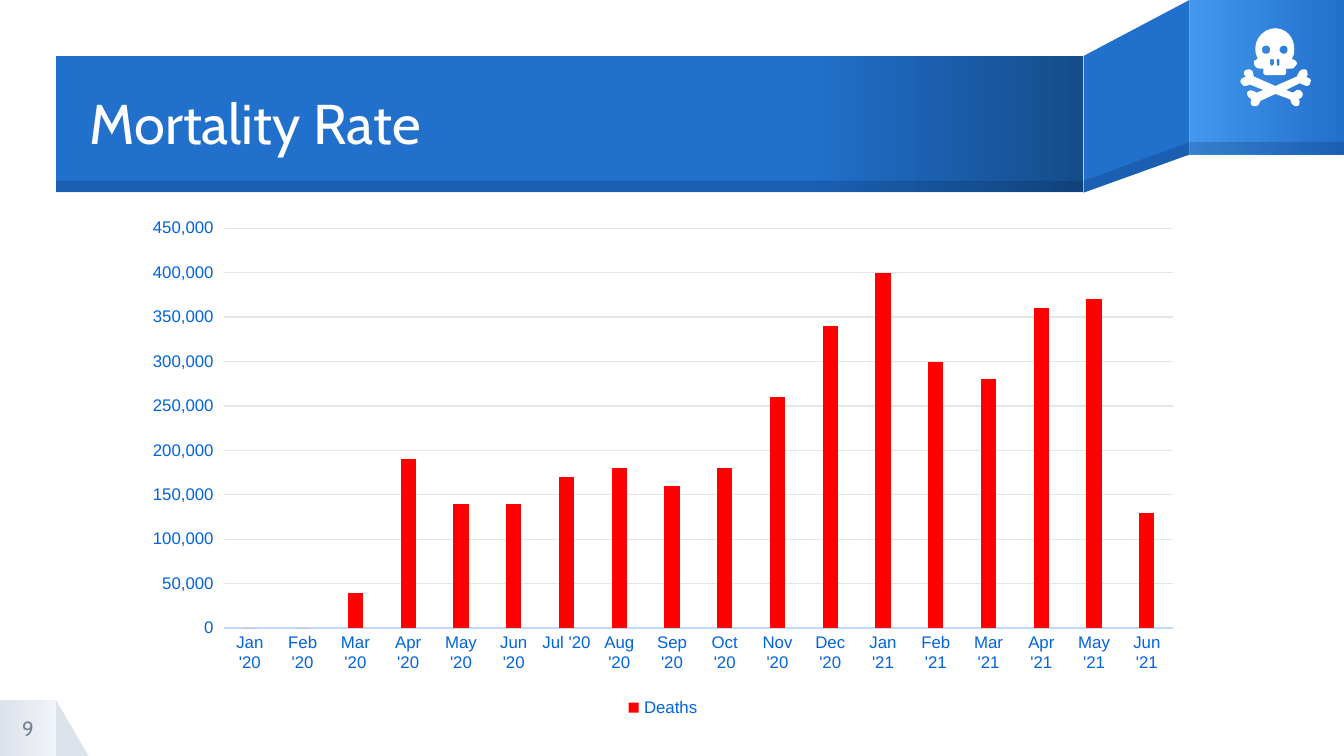
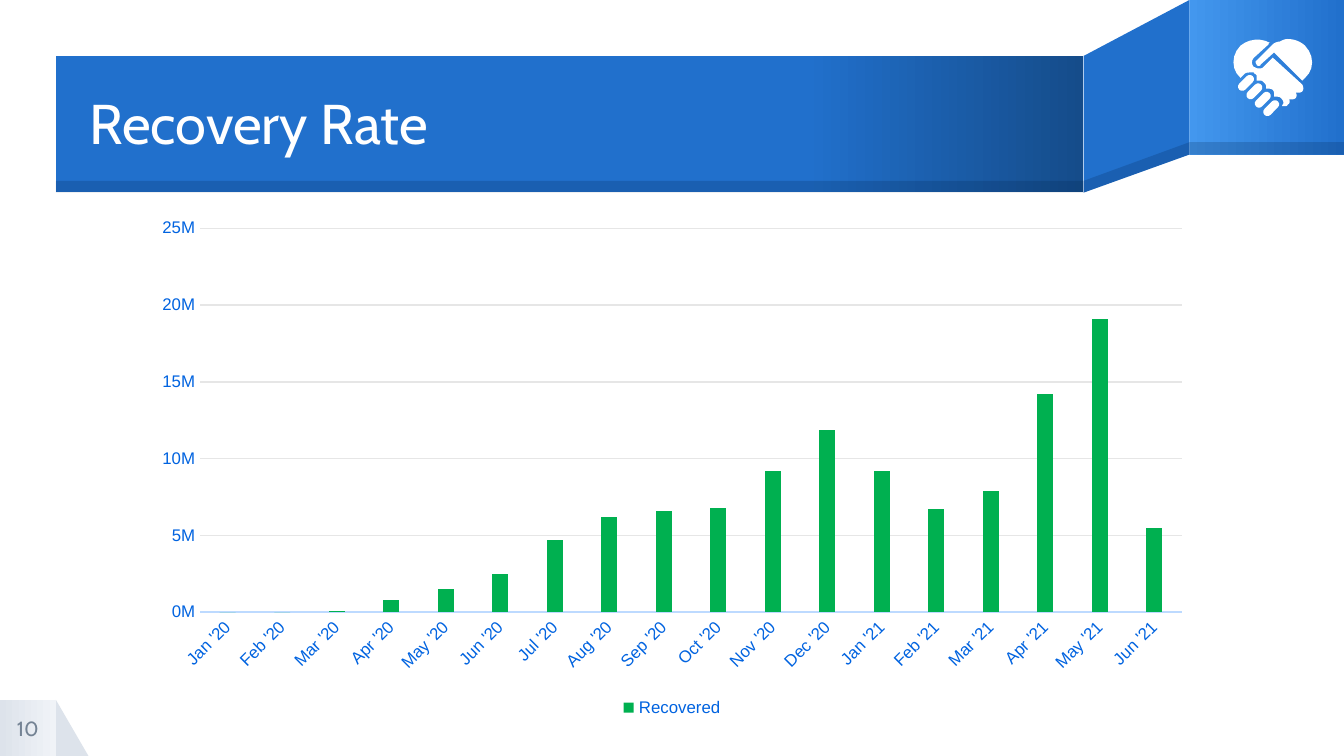
from dataclasses import dataclass

from lxml import etree
from pptx import Presentation
from pptx import util as u
from pptx.chart import data
from pptx.dml.color import RGBColor
from pptx.enum import chart as charts
from pptx.enum import shapes, text
from pptx.oxml.ns import qn

COLUMNS = 24  # square grid: 24 columns, 13.5 rows
ROWS = 13.5
WIDTH = u.Inches(10)
CELL = WIDTH / COLUMNS
ICON_CELL = 0.024  # icon drawing unit, in columns
ICON_LEFT = 900  # icon origin, in icon units
CURVE_STEPS = 6


@dataclass(frozen=True)
class Theme:
    title_font: str = "Cabin"
    chart_font: str = "Arial"
    title_size: int = 30
    number_size: int = 11
    chart_size: int = 10
    label_size: int = 9
    white: str = "FFFFFF"
    band: str = "2170CC"
    band_light: str = "4397EE"
    band_dark: str = "154C8A"
    shade: str = "001F46"
    corner: str = "DDE3EB"
    corner_light: str = "F0F3F7"
    number: str = "748394"
    label: str = "0063E0"
    axis: str = "BDDAFF"
    grid: str = "E6E6E6"
    deaths: str = "FF0000"
    recovered: str = "00B050"


THEME = Theme()

SKULL = """
M 37,51 L 40,51 40,54 C 40,55 41,56 43,56 L 55,56 C 56,56 57,55 57,54
L 57,51 61,51 C 62,51 63,51 63,50 64,49 65,48 65,47 65,46 63,44 61,44
63,41 63,39 63,36 63,28 57,21 49,21 41,21 34,28 34,36 34,39 35,42 36,44
35,44 35,44 34,45 33,45 33,46 33,47 33,49 35,51 37,51
M 48,45 L 48,47 C 48,48 47,49 46,49 46,49 45,48 45,47 L 45,45
C 45,44 46,44 46,44 47,44 48,44 48,45
M 50,45 C 50,44 50,44 51,44 52,44 52,44 52,45 L 52,47
C 52,48 52,49 51,49 50,49 50,48 50,47
M 55,34 C 57,34 58,35 58,37 58,39 57,40 55,40 54,40 52,39 52,37 52,35 54,34 55,34
M 42,34 C 44,34 45,35 45,37 45,39 44,40 42,40 40,40 39,39 39,37 39,35 40,34 42,34
"""
BONES = """
M 73,58 L 72,57 73,56 C 73,55 73,53 72,52 70,51 68,52 67,53 L 65,57 49,64
33,57 32,53 C 31,52 29,51 28,52 26,52 25,54 26,56 L 27,57 25,58
C 24,58 23,60 23,61 24,63 25,64 26,64 27,64 27,64 27,64 L 30,63 40,67 35,69
33,68 C 31,67 29,67 28,69 28,70 28,72 30,73 L 31,74 31,75
C 30,77 31,79 33,79 33,79 33,79 34,79 35,79 36,79 37,77 L 38,75 49,70 60,74
61,77 C 62,78 63,79 64,79 64,79 65,79 65,79 67,79 67,77 67,75 L 66,74 68,73
C 69,72 70,70 69,69 68,67 67,67 65,67 L 62,69 57,67 67,62 72,64
C 72,64 72,64 72,64 74,64 75,63 75,61 76,60 75,58 73,58
"""
LEFT_HAND = """
M 47,43 L 42,48 40,50 C 39,51 38,51 37,51 36,51 36,51 36,51 35,51 34,50 33,50
31,48 31,45 33,43 L 44,33 C 44,32 44,32 45,32 38,28 29,29 23,34
16,41 16,52 23,58 L 26,55 C 27,54 29,54 30,54 31,54 32,54 33,54
33,54 33,55 34,55 35,56 35,56 35,57 35,58 35,58 35,58 35,59 35,59 35,60
36,60 36,60 37,60 38,60 39,60 40,61 41,62 42,63 42,64 42,65 42,65 42,66
42,66 43,66 43,66 44,66 46,66 47,67 48,68 48,69 48,71 48,71 48,71 48,72
48,72 49,72 49,72 51,72 52,72 53,73 54,74 55,75 55,77 55,77 54,78 54,79
55,79 55,79 56,79 57,79 58,79 58,78 60,77 60,75 59,74 60,74 60,74 61,74
62,74 63,74 64,73 65,72 65,70 64,69 65,69 65,69 66,69 67,69 68,69 69,68
70,67 70,65 69,63
"""
RIGHT_HAND = """
M 71,34 C 68,31 63,29 58,29 56,29 54,30 52,31 50,31 48,32 47,33
46,34 46,34 46,34 L 35,45 C 34,45 34,47 35,48 35,49 36,49 37,49
37,49 38,49 38,48 L 48,39 51,42 69,60 C 70,59 70,59 71,58 78,52 78,41 71,34
"""


def rgb(color):
    return RGBColor.from_string(color)


def grid(*cells):
    return [u.Emu(round(cell * CELL)) for cell in cells]


def curve(*ends):
    """Points along a cubic curve, without its first point."""
    for step in range(1, CURVE_STEPS + 1):
        t = step / CURVE_STEPS
        weights = ((1 - t) ** 3, 3 * t * (1 - t) ** 2, 3 * t * t * (1 - t), t ** 3)
        yield tuple(sum(w * end[axis] for w, end in zip(weights, ends))
                    for axis in (0, 1))


def icon_outlines(drawing):
    """Turn a drawing of M, L and C commands into outlines on the grid."""
    outlines, command, waiting = [], "", []
    for token in drawing.split():
        if token.isalpha():
            command = token
            if command == "M":
                outlines.append([])
            continue
        x, y = (int(number) for number in token.split(","))
        waiting.append(((ICON_LEFT + x) * ICON_CELL, y * ICON_CELL))
        if command != "C":
            outlines[-1].append(waiting.pop())
        elif len(waiting) == 3:
            outlines[-1].extend(curve(outlines[-1][-1], *waiting))
            waiting = []
    return outlines


def style_font(font, size, color, name):
    font.size = u.Pt(size)
    font.name = name
    font.color.rgb = rgb(color)


def write(frame, content, *, size, color, font=THEME.title_font,
          align=text.PP_ALIGN.LEFT, spacing=None):
    frame.word_wrap = True
    frame.auto_size = text.MSO_AUTO_SIZE.NONE
    frame.vertical_anchor = text.MSO_ANCHOR.MIDDLE
    frame.margin_left = frame.margin_top = 0
    frame.margin_right = frame.margin_bottom = 0
    para = frame.paragraphs[0]
    para.alignment = align
    para.line_spacing = spacing
    span = para.add_run()
    span.text = content
    style_font(span.font, size, color, font)


class Deck:
    def __init__(self, theme):
        self.theme = theme
        self.file = Presentation()
        self.file.slide_width = WIDTH
        self.file.slide_height = grid(ROWS)[0]
        self.layout = self.file.slide_layouts[5]
        self.page = None

    def new_page(self, title, number):
        first = self.page is None
        self.page = self.file.slides.add_slide(self.layout)
        if first:
            self.share_on_layout(self.corner() + self.ribbon())
        heading = self.page.shapes.title
        heading.left, heading.top, heading.width, heading.height = grid(
            1.6, 1.04, 17.75, 2.42)
        write(heading.text_frame, title, size=self.theme.title_size,
              color=self.theme.white, spacing=0.9)
        box = self.page.shapes.add_textbox(*grid(0, 12.5, 1, 1))
        write(box.text_frame, str(number), size=self.theme.number_size,
              color=self.theme.number, align=text.PP_ALIGN.CENTER)

    def share_on_layout(self, parts):
        tree = self.layout.shapes._spTree
        for order, part in enumerate(parts):
            element = part._element
            element.nvSpPr.cNvPr.id = 100 + order
            tree.insert(2 + order, element)

    def paint(self, shape, color, alpha=None):
        shape.shadow.inherit = False
        shape.line.fill.background()
        shape.fill.solid()
        shape.fill.fore_color.rgb = rgb(color)
        if alpha is not None:
            tint = shape._element.spPr.find(".//" + qn("a:srgbClr"))
            etree.SubElement(tint, qn("a:alpha"), val=str(alpha * 1000))
        return shape

    def block(self, place, color, alpha=None, kind=shapes.MSO_SHAPE.RECTANGLE):
        shape = self.page.shapes.add_shape(kind, *grid(*place))
        return self.paint(shape, color, alpha)

    def gradient_block(self, place, *stops):
        """A rectangle shaded left to right; stops are (percent, colour)."""
        shape = self.block(place, stops[0][1])
        shape.fill.gradient()
        shape.fill.gradient_angle = 0
        stop_list = shape._element.spPr.find(".//" + qn("a:gsLst"))
        stop_list.clear()
        for percent, color in stops:
            stop = etree.SubElement(stop_list, qn("a:gs"), pos=str(percent * 1000))
            etree.SubElement(stop, qn("a:srgbClr"), val=color)
        return shape

    def outline(self, outlines, color, alpha=None):
        pen = None
        for points in outlines:
            start, *rest = [grid(*point) for point in points]
            if pen is None:
                pen = self.page.shapes.build_freeform(*start)
            else:
                pen.move_to(*start)
            pen.add_line_segments(rest, close=True)
        return self.paint(pen.convert_to_shape(), color, alpha)

    def corner(self):
        theme = self.theme
        return [
            self.block((1, 12.5, 0.58, 1), theme.corner,
                       kind=shapes.MSO_SHAPE.RIGHT_TRIANGLE),
            self.gradient_block((0, 12.5, 1, 1), (0, theme.corner),
                                (100, theme.corner_light)),
        ]

    def ribbon(self):
        theme = self.theme
        fold, badge = 19.35, 21.24
        band_edge, band_end = 3.23, 3.44
        badge_edge, badge_end = 2.54, 2.76
        band_width, badge_width = fold - 1, COLUMNS - badge
        return [
            self.outline([[(badge, 0), (fold, 1), (fold, band_end),
                           (badge, badge_end)]], theme.band),
            self.gradient_block((badge, 0, badge_width, badge_end),
                                (0, theme.band_light), (100, theme.band)),
            self.gradient_block((1, 1, band_width, band_end - 1), (0, theme.band),
                                (73, theme.band), (100, theme.band_dark)),
            self.outline([[(badge, badge_edge), (fold, band_edge),
                           (fold, band_end), (badge, badge_end)]], theme.shade, 20),
            self.block((badge, badge_edge, badge_width, badge_end - badge_edge),
                       theme.shade, 20),
            self.block((1, band_edge, band_width, band_end - band_edge),
                       theme.shade, 20),
        ]

    def icon(self, *drawings):
        for drawing in drawings:
            self.outline(icon_outlines(drawing), self.theme.white)

    def fingers(self, count=4):
        width, height = 0.34, 0.15
        for index in range(count):
            middle, level = 22.25 + 0.15 * index, 1.48 + 0.15 * index
            finger = self.block((middle - width / 2, level - height / 2, width, height),
                                self.theme.white,
                                kind=shapes.MSO_SHAPE.ROUNDED_RECTANGLE)
            finger.adjustments[0] = 0.5
            finger.rotation = -45

    def column_chart(self, place, name, values, color, *, number_format, top, step,
                     label_turn):
        theme = self.theme
        table = data.CategoryChartData()
        table.categories = MONTHS
        table.add_series(name, values)
        chart = self.page.shapes.add_chart(
            charts.XL_CHART_TYPE.COLUMN_CLUSTERED, *grid(*place), table).chart
        style_font(chart.font, theme.chart_size, theme.shade, theme.chart_font)
        chart.has_title = False
        chart.has_legend = True
        chart.legend.position = charts.XL_LEGEND_POSITION.BOTTOM
        chart.legend.include_in_layout = False
        plot = chart.plots[0]
        plot.vary_by_categories = False
        plot.gap_width, plot.overlap = 246, -28
        bars = plot.series[0]
        bars.invert_if_negative = False
        bars.format.fill.solid()
        bars.format.fill.fore_color.rgb = rgb(color)

        months, amounts = chart.category_axis, chart.value_axis
        for part in (chart.legend.font, months.tick_labels.font,
                     amounts.tick_labels.font):
            style_font(part, theme.label_size, theme.label, theme.chart_font)
        for axis in (months, amounts):
            axis.major_tick_mark = axis.minor_tick_mark = charts.XL_TICK_MARK.NONE
        turn = months._element.find(qn("c:txPr")).find(qn("a:bodyPr"))
        turn.set("rot", str(label_turn * 60000))
        amounts.minimum_scale, amounts.maximum_scale = 0, top
        amounts.major_unit = step
        amounts.tick_labels.number_format = number_format
        amounts.tick_labels.number_format_is_linked = False
        amounts.format.line.fill.background()
        amounts.has_major_gridlines = True
        for line, shade in ((months.format.line, theme.axis),
                            (amounts.major_gridlines.format.line, theme.grid)):
            line.width = u.Pt(0.75)
            line.color.rgb = rgb(shade)


MONTH_NAMES = "Jan Feb Mar Apr May Jun Jul Aug Sep Oct Nov Dec".split()
MONTHS = ([f"{month} '20" for month in MONTH_NAMES]
          + [f"{month} '21" for month in MONTH_NAMES[:6]])
DEATHS_IN_THOUSANDS = [0, 0, 40, 190, 140, 140, 170, 180, 160, 180, 260, 340,
                       400, 300, 280, 360, 370, 130]
RECOVERED_IN_THOUSANDS = [0, 0, 100, 800, 1500, 2500, 4700, 6200, 6600, 6800, 9200,
                          11900, 9200, 6700, 7900, 14200, 19100, 5500]


def main():
    deck = Deck(THEME)

    deck.new_page("Mortality Rate", 9)
    deck.icon(SKULL, BONES)
    deck.column_chart((2.35, 3.72, 18.98, 9.19), "Deaths",
                      [count * 1000 for count in DEATHS_IN_THOUSANDS], THEME.deaths,
                      number_format=r"#,##0_);[Red]\(#,##0\)",
                      top=450_000, step=50_000, label_turn=0)

    deck.new_page("Recovery Rate", 10)
    deck.icon(LEFT_HAND, RIGHT_HAND)
    deck.fingers()
    deck.column_chart((2.52, 3.72, 18.96, 9.19), "Recovered",
                      [count * 1000 for count in RECOVERED_IN_THOUSANDS],
                      THEME.recovered, number_format='#,##0,,"M"',
                      top=25_000_000, step=5_000_000, label_turn=-45)

    deck.file.save("out.pptx")


if __name__ == "__main__":
    main()
